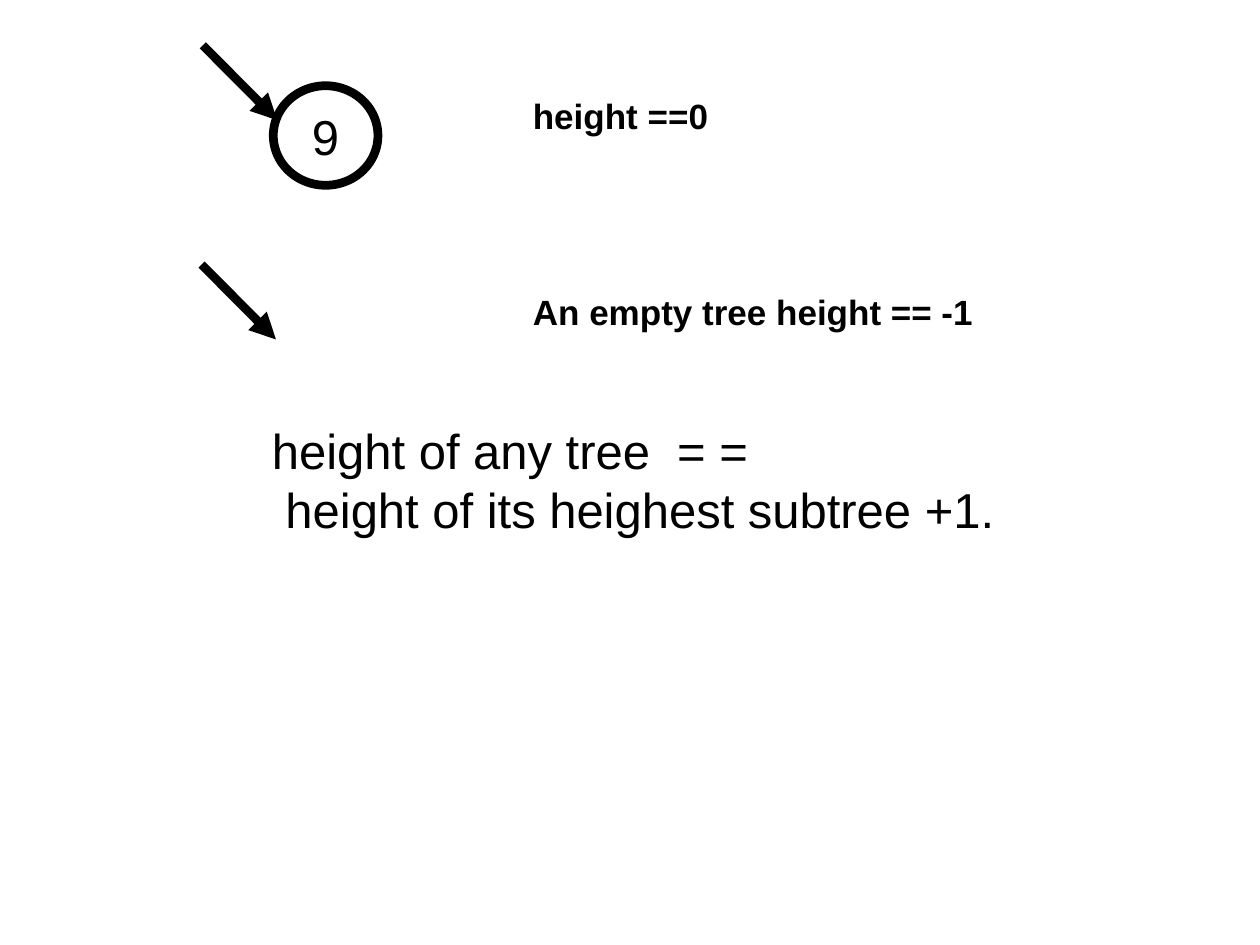
from dataclasses import dataclass

from lxml import etree
from pptx import Presentation
from pptx.dml.color import RGBColor
from pptx.enum import shapes, text
from pptx.oxml import ns
from pptx.util import Pt

BLACK = RGBColor(0, 0, 0)
WHITE = RGBColor(255, 255, 255)
FONT = "Arial"
STROKE = Pt(5)


@dataclass
class Label:
    left: float
    top: float
    width: float
    height: float
    lines: tuple[str, ...]
    size: float
    bold: bool = False
    level: int = 0


@dataclass
class Arrow:
    left: float
    top: float
    width: float = 42.5
    height: float = 42.8


LABELS = [
    Label(297.4, 50.4, 170, 31.7, ("height ==0",), 20, bold=True),
    Label(297.4, 162.7, 306, 31.7, ("An empty tree height == -1",), 20, bold=True),
    Label(112.3, 236.9, 484.6, 74.9,
          ("height of any tree  = = ", " height of its heighest subtree +1."), 28, level=1),
]
ARROWS = [Arrow(115.9, 25.9), Arrow(115.2, 151.2)]


def write_lines(frame, lines: tuple[str, ...], size: float,
                bold: bool = False, level: int = 0) -> None:
    for index, line in enumerate(lines):
        para = frame.paragraphs[0] if index == 0 else frame.add_paragraph()
        para.level = level
        if level:
            properties = para._p.get_or_add_pPr()
            properties.set("marL", str(Pt(36 * level)))
            properties.set("indent", "0")
        span = para.add_run()
        span.text = line
        span.font.color.rgb = BLACK
        for name, value in {"name": FONT, "size": Pt(size), "bold": bold}.items():
            setattr(span.font, name, value)


def add_label(page, label: Label) -> None:
    box = page.shapes.add_textbox(Pt(label.left), Pt(label.top), Pt(label.width), Pt(label.height))
    settings = {"word_wrap": True, "auto_size": text.MSO_AUTO_SIZE.SHAPE_TO_FIT_TEXT}
    for name, value in settings.items():
        setattr(box.text_frame, name, value)
    write_lines(box.text_frame, label.lines, label.size, label.bold, label.level)


def add_arrow(page, arrow: Arrow) -> None:
    connector = page.shapes.add_connector(
        shapes.MSO_CONNECTOR.STRAIGHT, Pt(arrow.left), Pt(arrow.top),
        Pt(arrow.left + arrow.width), Pt(arrow.top + arrow.height))
    connector.line.width = STROKE
    connector.line.color.rgb = BLACK
    outline = connector.line._get_or_add_ln()
    etree.SubElement(outline, ns.qn("a:tailEnd"), type="triangle")
    etree.SubElement(connector._element.spPr, ns.qn("a:effectLst"))


def add_node(page, value: str) -> None:
    node = page.shapes.add_shape(
        shapes.MSO_SHAPE.OVAL, Pt(156.2), Pt(49), Pt(59.8), Pt(56.9))
    node.shadow.inherit = False
    node.fill.solid()
    node.fill.fore_color.rgb = WHITE
    node.line.color.rgb = BLACK
    node.line.width = STROKE
    settings = {"vertical_anchor": text.MSO_ANCHOR.MIDDLE, "word_wrap": False}
    for name, setting in settings.items():
        setattr(node.text_frame, name, setting)
    write_lines(node.text_frame, (value,), 28)
    node.text_frame.paragraphs[0].alignment = text.PP_ALIGN.CENTER


deck = Presentation()
deck.slide_width, deck.slide_height = Pt(720), Pt(540)
page = deck.slides.add_slide(deck.slide_layouts[6])
add_node(page, "9")
for arrow in ARROWS:
    add_arrow(page, arrow)
for label in LABELS:
    add_label(page, label)
deck.save("out.pptx")
